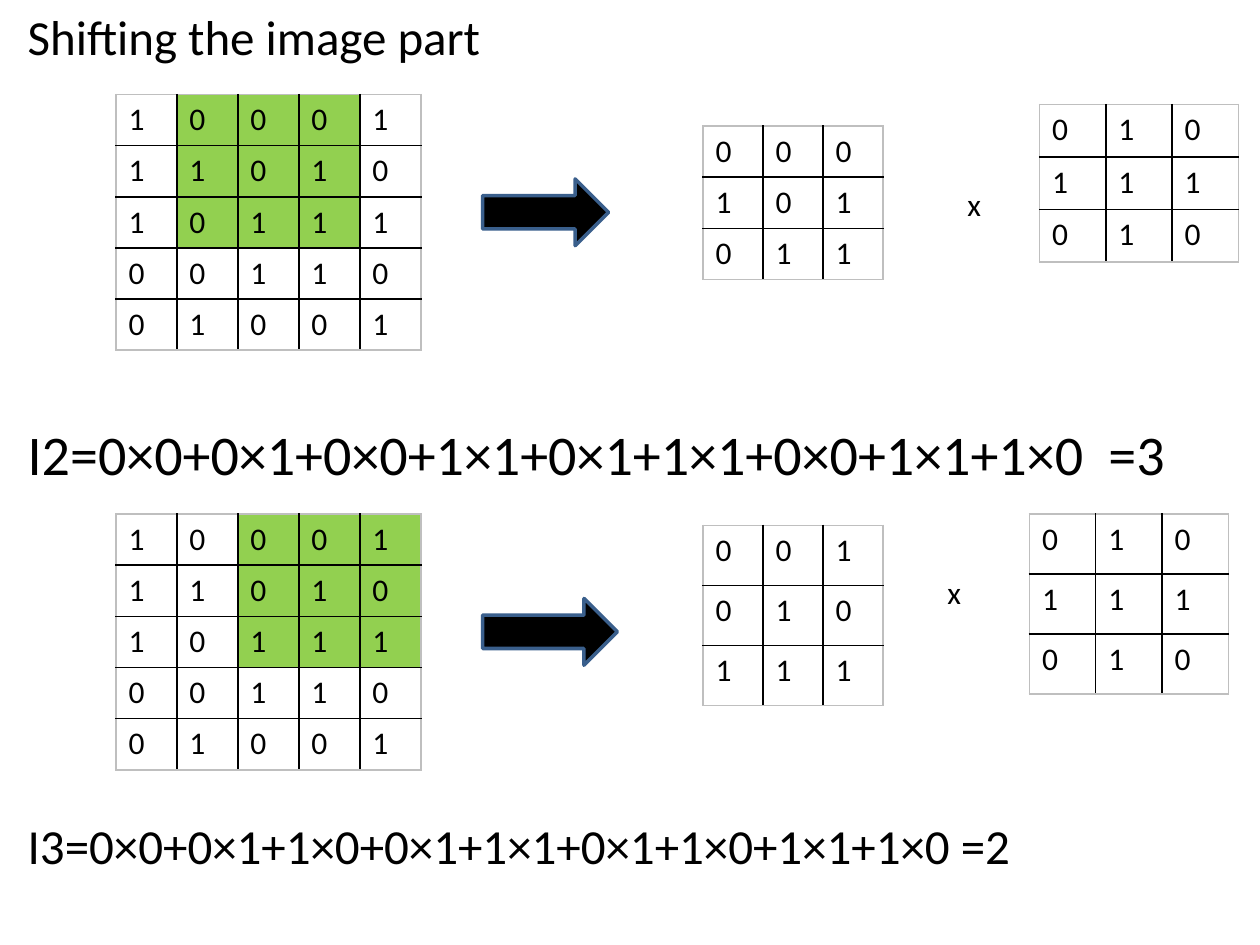
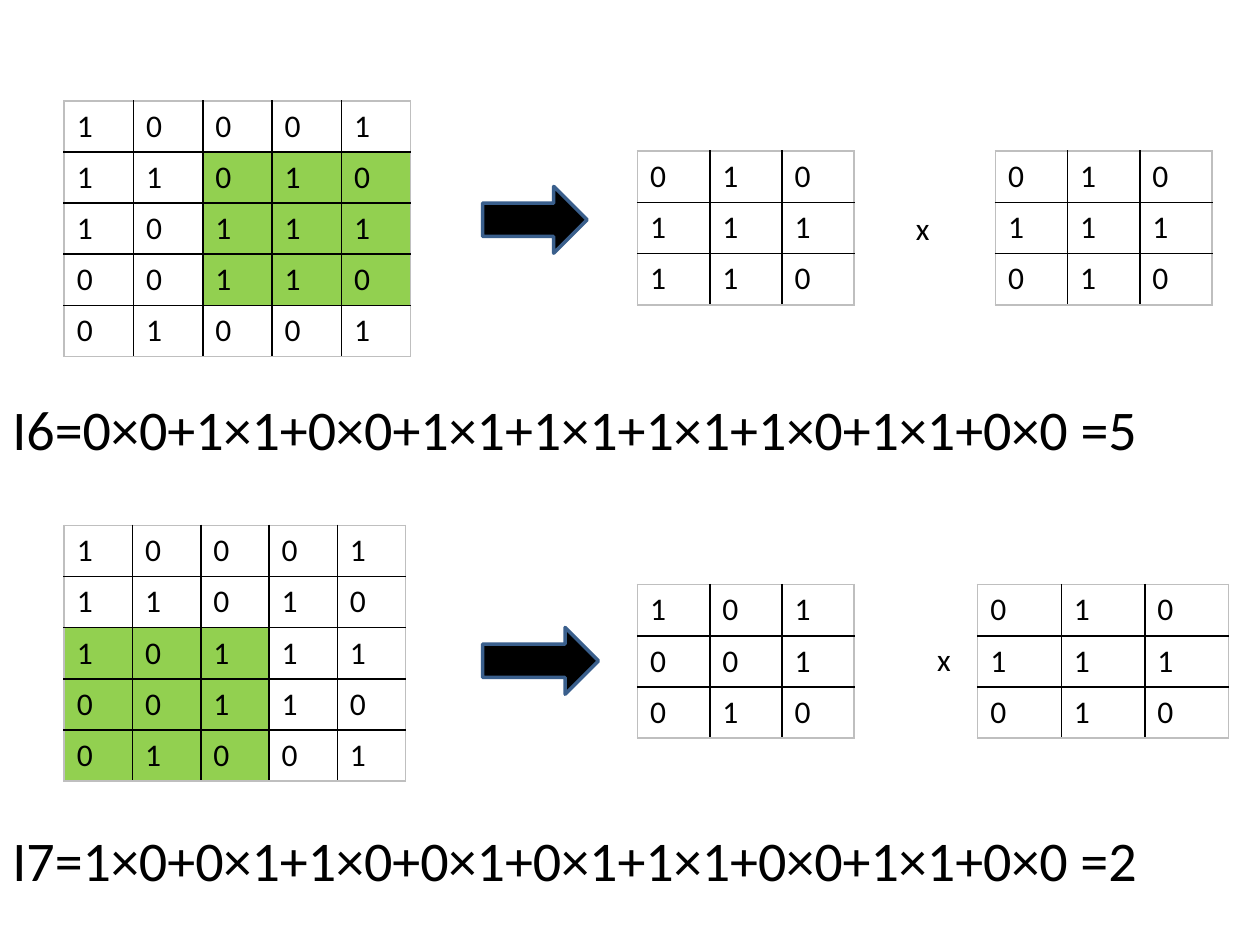
from dataclasses import dataclass

import pptx
import pptx.dml.color
import pptx.enum.shapes
import pptx.enum.text
import pptx.oxml
import pptx.oxml.ns
import pptx.slide
import pptx.util
from pptx.util import Inches

FONT = "Calibri"
COLORS = {
    "text": "000000",
    "arrow": "000000",
    "arrow_line": "3A5F8C",
    "window": "92D050",
    "grid": "000000",
    "frame": "BFBFBF",
}
CELL_SIZE = 18
IMAGE = ["10001", "11010", "10111", "00110", "01001"]
KERNEL = ["010", "111", "010"]
N = len(KERNEL)


@dataclass(frozen=True)
class Box:
    left: float
    top: float
    width: float
    height: float

    def emu(self) -> list[int]:
        return [Inches(v) for v in (self.left, self.top, self.width, self.height)]


@dataclass(frozen=True)
class Window:
    row: int
    col: int

    def covers(self, row: int, col: int) -> bool:
        return 0 <= row - self.row < N and 0 <= col - self.col < N

    def values(self) -> list[str]:
        rows = IMAGE[self.row:self.row + N]
        return [row[self.col:self.col + N] for row in rows]


@dataclass(frozen=True)
class Step:
    """One position of the window, with the places of its parts."""
    name: str
    window: Window
    image: Box
    arrow: Box
    patch: Box
    times: Box
    kernel: Box
    formula: Box
    size: int = 32
    inset: float = 0.1
    gap: str = " "


STEPS = [
    [
        Step("I2", Window(0, 1), Box(0.92, 0.75, 2.42, 2.03),
             Box(3.83, 1.42, 1, 0.53), Box(5.58, 1, 1.43, 1.22),
             Box(7.58, 1.42, 0.33, 0.4), Box(8.25, 0.83, 1.58, 1.25),
             Box(0, 3.28, 10, 0.64), inset=0.22, gap="  "),
        Step("I3", Window(0, 2), Box(0.92, 4.08, 2.42, 2.03),
             Box(3.83, 4.75, 1.07, 0.53), Box(5.58, 4.17, 1.43, 1.43),
             Box(7.42, 4.5, 0.33, 0.4), Box(8.17, 4.08, 1.58, 1.43),
             Box(0, 6.42, 10, 0.57), size=28, inset=0.22),
    ],
    [
        Step("I6", Window(1, 2), Box(0.51, 0.8, 2.75, 2.03),
             Box(3.83, 1.48, 0.83, 0.53), Box(5.06, 1.2, 1.72, 1.22),
             Box(7.17, 1.61, 0.33, 0.4), Box(7.9, 1.2, 1.72, 1.22),
             Box(0, 3.08, 9.59, 0.64)),
        Step("I7", Window(2, 0), Box(0.51, 4.17, 2.71, 2.03),
             Box(3.83, 4.98, 0.92, 0.53), Box(5.06, 4.64, 1.72, 1.22),
             Box(7.34, 5.03, 0.33, 0.4), Box(7.76, 4.64, 1.99, 1.22),
             Box(0, 6.5, 10, 0.64)),
    ],
]


def rgb(name: str) -> pptx.dml.color.RGBColor:
    return pptx.dml.color.RGBColor.from_string(COLORS[name])


def add_run(tf, text: str, size: int) -> None:
    r = tf.paragraphs[0].add_run()
    r.text = text
    r.font.name = FONT
    r.font.size = pptx.util.Pt(size)
    r.font.color.rgb = rgb("text")


def add_text(slide: pptx.slide.Slide, box: Box, text: str, size: int,
             inset: float = 0.1) -> None:
    tf = slide.shapes.add_textbox(*box.emu()).text_frame
    tf.word_wrap = True
    tf.auto_size = pptx.enum.text.MSO_AUTO_SIZE.SHAPE_TO_FIT_TEXT
    tf.margin_left = Inches(inset)
    add_run(tf, text, size)


def set_borders(cell, outer: dict[str, bool]) -> None:
    """Draw the four edges; outer tells which lie on the table's frame."""
    tc_pr = cell._tc.get_or_add_tcPr()
    for side, is_outer in outer.items():
        color = COLORS["frame" if is_outer else "grid"]
        tc_pr.append(pptx.oxml.parse_xml(
            f'<a:ln{side} {pptx.oxml.ns.nsdecls("a")} w="12700">'
            f'<a:solidFill><a:srgbClr val="{color}"/></a:solidFill>'
            f'</a:ln{side}>'))


def add_matrix(slide: pptx.slide.Slide, box: Box, rows: list[str],
               window: Window | None = None) -> None:
    n = len(rows)
    table = slide.shapes.add_table(n, n, *box.emu()).table
    table.first_row = table.horz_banding = False
    for column in table.columns:
        column.width = Inches(box.width / n)
    for i, row in enumerate(rows):
        table.rows[i].height = Inches(box.height / n)
        for j, digit in enumerate(row):
            cell = table.cell(i, j)
            set_borders(cell, {"L": j == 0, "R": j == n - 1,
                               "T": i == 0, "B": i == n - 1})
            if window and window.covers(i, j):
                cell.fill.solid()
                cell.fill.fore_color.rgb = rgb("window")
            else:
                cell.fill.background()
            add_run(cell.text_frame, digit, CELL_SIZE)


def add_arrow(slide: pptx.slide.Slide, box: Box) -> None:
    sp = slide.shapes.add_shape(
        pptx.enum.shapes.MSO_SHAPE.RIGHT_ARROW, *box.emu())
    sp.shadow.inherit = False
    sp.fill.solid()
    sp.fill.fore_color.rgb = rgb("arrow")
    sp.line.color.rgb = rgb("arrow_line")
    sp.line.width = pptx.util.Pt(2)


def formula_text(step: Step) -> str:
    """Spell out the products of window and kernel, and their sum."""
    pairs = list(zip("".join(step.window.values()), "".join(KERNEL)))
    products = "+".join(f"{a}×{b}" for a, b in pairs)
    total = sum(int(a) * int(b) for a, b in pairs)
    return f"{step.name}={products}{step.gap}={total}"


def add_step(slide: pptx.slide.Slide, step: Step) -> None:
    add_matrix(slide, step.image, IMAGE, step.window)
    add_arrow(slide, step.arrow)
    add_matrix(slide, step.patch, step.window.values())
    add_text(slide, step.times, "x", CELL_SIZE)
    add_matrix(slide, step.kernel, KERNEL)
    add_text(slide, step.formula, formula_text(step), step.size, step.inset)


def main() -> None:
    prs = pptx.Presentation()
    prs.slide_width, prs.slide_height = Inches(10), Inches(7.5)
    for number, steps in enumerate(STEPS):
        slide = prs.slides.add_slide(prs.slide_layouts[6])
        if number == 0:
            add_text(slide, Box(0, 0, 10, 0.57), "Shifting the image part",
                     28, inset=0.22)
        for step in steps:
            add_step(slide, step)
    prs.save("out.pptx")


if __name__ == "__main__":
    main()
